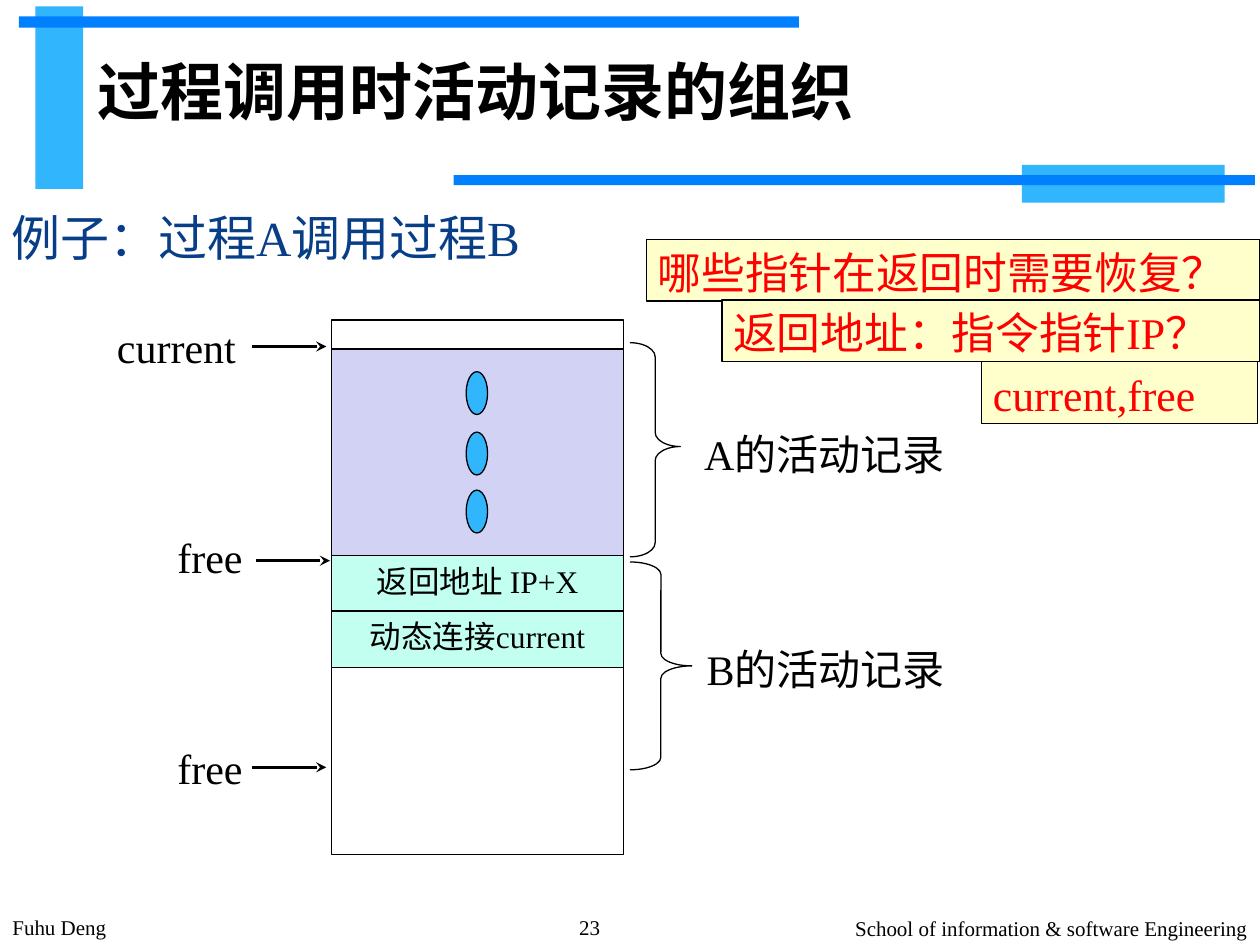
from lxml.etree import SubElement
from pptx import Presentation
from pptx.dml.color import RGBColor
from pptx.enum.shapes import MSO_CONNECTOR as CONN, MSO_SHAPE as SHAPE
from pptx.enum.text import MSO_ANCHOR as ANCHOR, MSO_AUTO_SIZE as AUTO, PP_ALIGN as ALIGN
from pptx.oxml.ns import qn
from pptx.util import Inches, Pt

SERIF = "Times New Roman"
BLACK, RED, SKY, BLUE = "000000", "FF0000", "31B6FD", "0080FF"
TITLE = "过程调用时活动记录的组织"
EXAMPLE = "例子：过程A调用过程B"
BARS = [
    (0.28, 0.05, 0.38, 1.45, SKY),
    (0.15, 0.13, 6.19, 0.09, BLUE),
    (8.11, 1.31, 1.61, 0.3, SKY),
    (3.6, 1.39, 6.36, 0.08, BLUE),
]
STACK_X, STACK_W = 2.63, 2.32
STACK = [
    (2.54, 4.24, None, ""),
    (2.77, 1.65, "D2D2F4", ""),
    (4.41, 0.45, "C2FFF0", "返回地址 IP+X"),
    (4.85, 0.45, "C2FFF0", "动态连接current"),
]
DOT_TOPS = [2.95, 3.43, 3.89]
POINTERS = [
    ("current", 0.83, 2.5, 1.15, 2, 2.75),
    ("free", 1.31, 4.17, 0.72, 2.03, 4.45),
    ("free", 1.31, 5.84, 0.72, 2, 6.09),
]
RECORDS = [
    ("A的活动记录", 5.49, 3.35, 2.14, (5, 2.72, 0.4, 1.7), (0.281, 0.485)),
    ("B的活动记录", 5.51, 5.06, 2.12, (5, 4.46, 0.49, 1.65), (0.202, 0.5)),
]
NOTES = [
    ("哪些指针在返回时需要恢复？", 5.13, 1.9, 4.87),
    ("返回地址：指令指针IP？", 5.73, 2.38, 4.27),
    ("current,free", 7.79, 2.87, 2.19),
]
FOOTER = [
    ("Fuhu Deng", 0, 7.21, 4.21, ALIGN.LEFT),
    ("School of information & software Engineering", 5.21, 7.22, 4.79, ALIGN.RIGHT),
    ("23", 4.21, 7.21, 0.94, ALIGN.CENTER),
]


def rgb(value):
    """Return a colour from a hex string."""
    return RGBColor.from_string(value)


def write(sp, text, size, color=BLACK, font=SERIF, align=ALIGN.LEFT,
          anchor=ANCHOR.TOP, bold=False, wrap=True):
    """Fill a shape with one formatted paragraph."""
    tf = sp.text_frame
    tf.word_wrap, tf.auto_size, tf.vertical_anchor = wrap, AUTO.NONE, anchor
    p = tf.paragraphs[0]
    p.alignment, p.space_before = align, Pt(0)
    r = p.add_run()
    r.text = text
    r.font.size, r.font.bold, r.font.name = Pt(size), bold, font
    r.font.color.rgb = rgb(color)
    return p


def place(sp, x, y, w, h):
    """Move and size a placeholder."""
    sp.left, sp.top, sp.width, sp.height = map(Inches, (x, y, w, h))


def add_box(s, kind, x, y, w, h, fill=None, outlined=True):
    """Add a flat preset shape."""
    sp = s.shapes.add_shape(kind, *map(Inches, (x, y, w, h)))
    sp.shadow.inherit = False
    if fill:
        sp.fill.solid()
        sp.fill.fore_color.rgb = rgb(fill)
    else:
        sp.fill.background()
    if outlined:
        sp.line.color.rgb, sp.line.width = rgb(BLACK), Pt(0.75)
    else:
        sp.line.fill.background()
    return sp


def add_label(s, text, x, y, w, h, size, **style):
    """Add a text box."""
    write(s.shapes.add_textbox(*map(Inches, (x, y, w, h))), text, size, **style)


def add_arrow(s, x, y, length=0.59):
    """Add a horizontal pointer arrow."""
    line = s.shapes.add_connector(CONN.STRAIGHT, *map(Inches, (x, y, x + length, y)))
    line.line.color.rgb, line.line.width = rgb(BLACK), Pt(1.75)
    SubElement(line.line._get_or_add_ln(), qn("a:tailEnd"), type="stealth")
    SubElement(line._element.spPr, qn("a:effectLst"))


def add_box_text(sp, text, size, **style):
    """Write text inside a box with narrow side margins."""
    sp.text_frame.margin_left = sp.text_frame.margin_right = Inches(0.09)
    write(sp, text, size, **style)


def main():
    """Build the slide."""
    prs = Presentation()
    prs.slide_width, prs.slide_height = Inches(10), Inches(7.5)
    s = prs.slides.add_slide(prs.slide_layouts[1])
    title, body = s.placeholders
    place(title, 0.67, 0.21, 7.72, 1.02)
    write(title, TITLE, 36, font="Arial", anchor=ANCHOR.MIDDLE, bold=True)
    place(body, -0.01, 1.6, 10.01, 5.61)
    pPr = write(body, EXAMPLE, 28, "073E87")._p.get_or_add_pPr()
    pPr.set("marL", "0")
    pPr.set("indent", "0")
    SubElement(pPr, qn("a:buNone"))

    for *box, color in BARS:
        add_box(s, SHAPE.RECTANGLE, *box, color, outlined=False)
    for top, height, color, text in STACK:
        sp = add_box(s, SHAPE.RECTANGLE, STACK_X, top, STACK_W, height, color)
        if text:
            add_box_text(sp, text, 18, align=ALIGN.CENTER)
    for top in DOT_TOPS:
        add_box(s, SHAPE.OVAL, 3.7, top, 0.17, 0.34, SKY)
    for text, x, y, w, arrow_x, arrow_y in POINTERS:
        add_label(s, text, x, y, w, 0.5, 24, wrap=False)
        add_arrow(s, arrow_x, arrow_y)
    for text, x, y, w, brace_box, adjust in RECORDS:
        brace = add_box(s, SHAPE.RIGHT_BRACE, *brace_box)
        for i, value in enumerate(adjust):
            brace.adjustments[i] = value
        add_label(s, text, x, y, w, 0.5, 24)
    for text, x, y, w in NOTES:
        sp = add_box(s, SHAPE.RECTANGLE, x, y, w, 0.49, "FFFFCC")
        add_box_text(sp, text, 25, color=RED)
    for text, x, y, w, align in FOOTER:
        add_label(s, text, x, y, w, 0.28, 12, align=align)
    prs.save("out.pptx")


if __name__ == "__main__":
    main()
